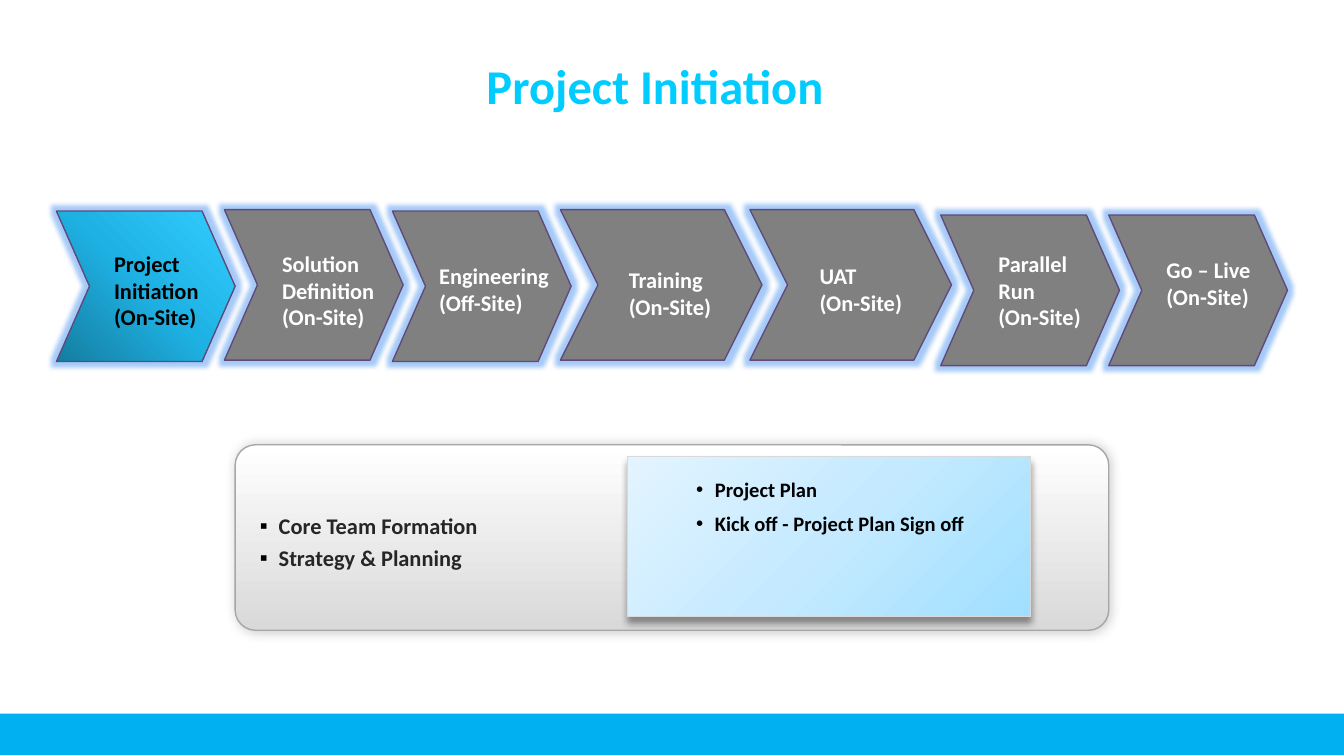
from copy import deepcopy
from pptx import Presentation
from pptx.dml.color import RGBColor as RGB
from pptx.enum.shapes import MSO_SHAPE as Shape
from pptx.enum.text import MSO_ANCHOR as Anchor, PP_ALIGN as Align
from pptx.oxml import parse_xml
from pptx.oxml.ns import nsdecls, qn
from pptx.util import Pt

PX = 9144  # 100 px to the inch
THEME = dict(
    font="Calibri", title=26, body=12, small=11,
    cyan="00CCFF", band="00B0F0", black="000000", white="FFFFFF", ink="262626",
    gray="808080", edge="604A7B", rim="A6A6A6", trim="D9D9D9", glow="3B8AF0",
    active=["157DA0", "1EB2E4", "33CCFF"],
    panel=["D9D9D9", "FFFFFF"],
    card=["A0DFFF", "C5EAFF", "E3F4FF"],
)

deck = Presentation()
deck.slide_width = 1000 * PX
deck.slide_height = deck.slide_width * 9 // 16
slide = deck.slides.add_slide(deck.slide_layouts[6])


def draw(kind, box, fill, line=None, width=0.75, angle=0, adj=None, effect=None):
    """Add a shape; a list of fill colours makes an even gradient."""
    shape = slide.shapes.add_shape(kind, *[n * PX for n in box])
    shape.shadow.inherit = False
    if adj is not None:
        shape.adjustments[0] = adj
    if isinstance(fill, list):
        shape.fill.gradient()
        shape.fill.gradient_angle = angle
        stops = shape._element.spPr.find(".//" + qn("a:gsLst"))
        for _ in fill[2:]:
            stops.insert(1, deepcopy(stops[0]))
        for i, (stop, color) in enumerate(zip(shape.fill.gradient_stops, fill)):
            stop.position = i / (len(fill) - 1)
            stop.color.rgb = RGB.from_string(color)
    else:
        shape.fill.solid()
        shape.fill.fore_color.rgb = RGB.from_string(fill)
    if line:
        shape.line.color.rgb = RGB.from_string(line)
        shape.line.width = Pt(width)
    else:
        shape.line.fill.background()
    if effect:
        tag, attrs, color, alpha = effect
        shape._element.spPr.find(qn("a:effectLst")).append(parse_xml(
            f'<a:{tag} {nsdecls("a")} {attrs}><a:srgbClr val="{color}">'
            f'<a:alpha val="{alpha * 1000}"/></a:srgbClr></a:{tag}>'))
    return shape


def put(lines, box=None, shape=None, size=THEME["body"], color=THEME["white"],
        inset=(10, 5, 10, 5), anchor=Anchor.TOP, bullet=None, indent=0, gap=0):
    """Write one paragraph a line, in a shape or in a new text box."""
    if box:
        shape = slide.shapes.add_textbox(*[n * PX for n in box])
    frame = shape.text_frame
    frame.word_wrap = True
    frame.vertical_anchor = anchor
    (frame.margin_left, frame.margin_top,
     frame.margin_right, frame.margin_bottom) = [n * PX for n in inset]
    for i, line in enumerate(lines):
        para = frame.paragraphs[0] if i == 0 else frame.add_paragraph()
        para.alignment = Align.LEFT
        if i:
            para.space_before = Pt(gap)
        if bullet:
            props = para._p.get_or_add_pPr()
            props.set("marL", str(indent * PX))
            props.set("indent", str(-14 * PX))
            props.append(parse_xml(f'<a:buClr {nsdecls("a")}>'
                                   f'<a:srgbClr val="{THEME["black"]}"/></a:buClr>'))
            props.append(parse_xml(f'<a:buFont {nsdecls("a")} typeface="Arial"/>'))
            props.append(parse_xml(f'<a:buChar {nsdecls("a")} char="{bullet}"/>'))
        run = para.add_run()
        run.text = line
        run.font.name, run.font.size, run.font.bold = THEME["font"], Pt(size), True
        run.font.color.rgb = RGB.from_string(color)


# Footer band and title
draw(Shape.RECTANGLE, (0, 531, 1000, 31), THEME["band"])
put(["Project Initiation"], box=(355, 38, 594, 47), size=THEME["title"],
    color=THEME["cyan"], inset=(7, 4, 7, 4))

# Activities panel
panel = draw(Shape.ROUNDED_RECTANGLE, (175, 331, 650, 138), THEME["panel"], THEME["rim"],
             angle=90, adj=0.11,
             effect=("outerShdw", 'blurRad="76200" dist="0" dir="18900000"',
                     THEME["black"], 20))
put(["Core Team Formation", "Strategy & Planning"], shape=panel, color=THEME["ink"],
    inset=(0, 6, 0, 0), anchor=Anchor.MIDDLE, bullet="▪", indent=28, gap=3)

# Deliverables card
card = draw(Shape.ROUNDED_RECTANGLE, (467, 340, 300, 119), THEME["card"], THEME["trim"],
            width=0.5, angle=135, adj=0,
            effect=("outerShdw", 'blurRad="50800" dist="38100" dir="5400000"',
                    THEME["black"], 40))
put(["Project Plan", "Kick off - Project Plan Sign off"], shape=card,
    size=THEME["small"], color=THEME["black"], inset=(0, 15, 15, 0),
    bullet="•", indent=65, gap=5)

# Phases: name, site, chevron left, top, width, then label left, top, width
phases = [
    ("Project Initiation", "On", 42, 157, 133, 75, 181, 92),
    ("Solution Definition", "On", 167, 156, 133, 200, 181, 92),
    ("Engineering", "Off", 292, 157, 133, 317, 190, 117),
    ("Training", "On", 417, 156, 150, 458, 193, 92),
    ("UAT", "On", 558, 156, 150, 600, 190, 92),
    ("Parallel Run", "On", 700, 160, 133, 733, 181, 92),
    ("Go – Live", "On", 825, 160, 133, 858, 186, 92),
]
for i, (name, site, left, top, wide, x, y, w) in enumerate(phases):
    draw(Shape.CHEVRON, (left, top, wide, 112), THEME["gray"] if i else THEME["active"],
         THEME["edge"], angle=45, adj=round(wide * 0.00168, 2),
         effect=("glow", 'rad="63500"', THEME["glow"], 45))
for i, (name, site, left, top, wide, x, y, w) in enumerate(phases):
    put([name, f"({site}-Site)"], box=(x, y, w, 71),
        color=THEME["white"] if i else THEME["black"])

deck.save("out.pptx")
